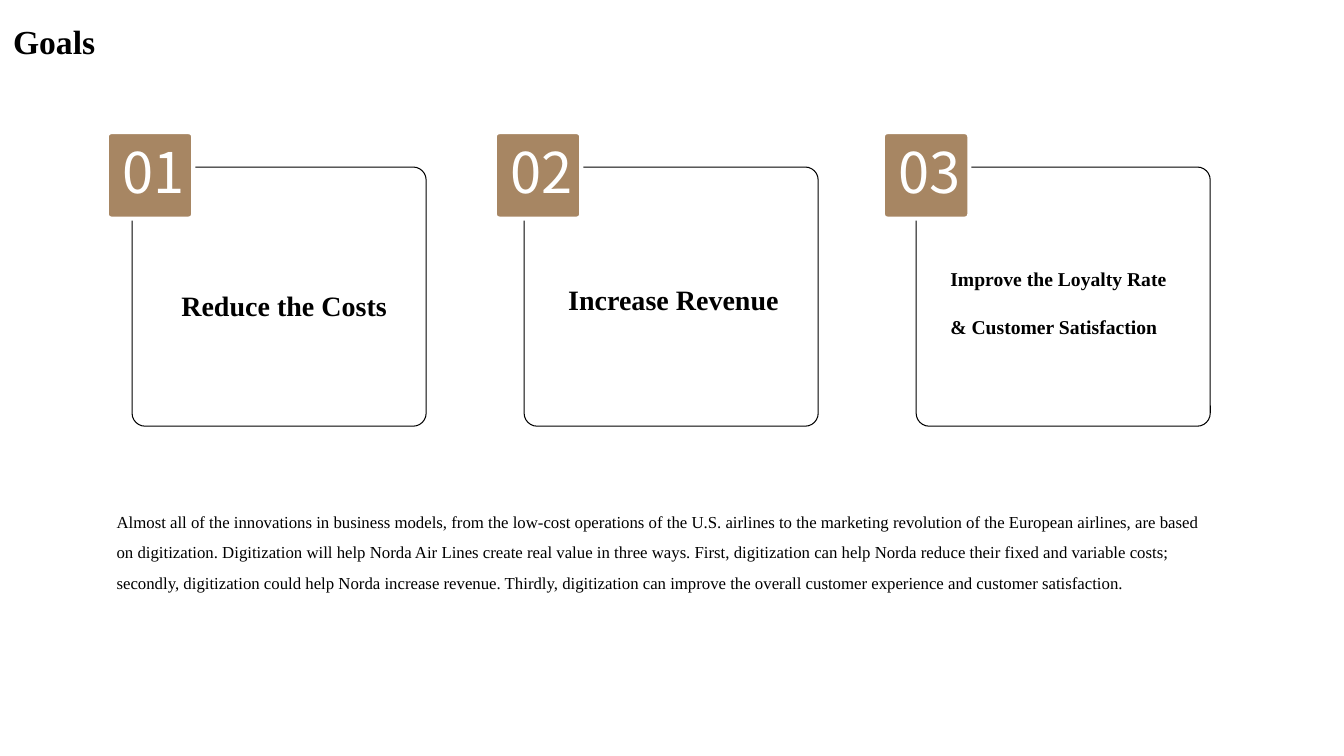
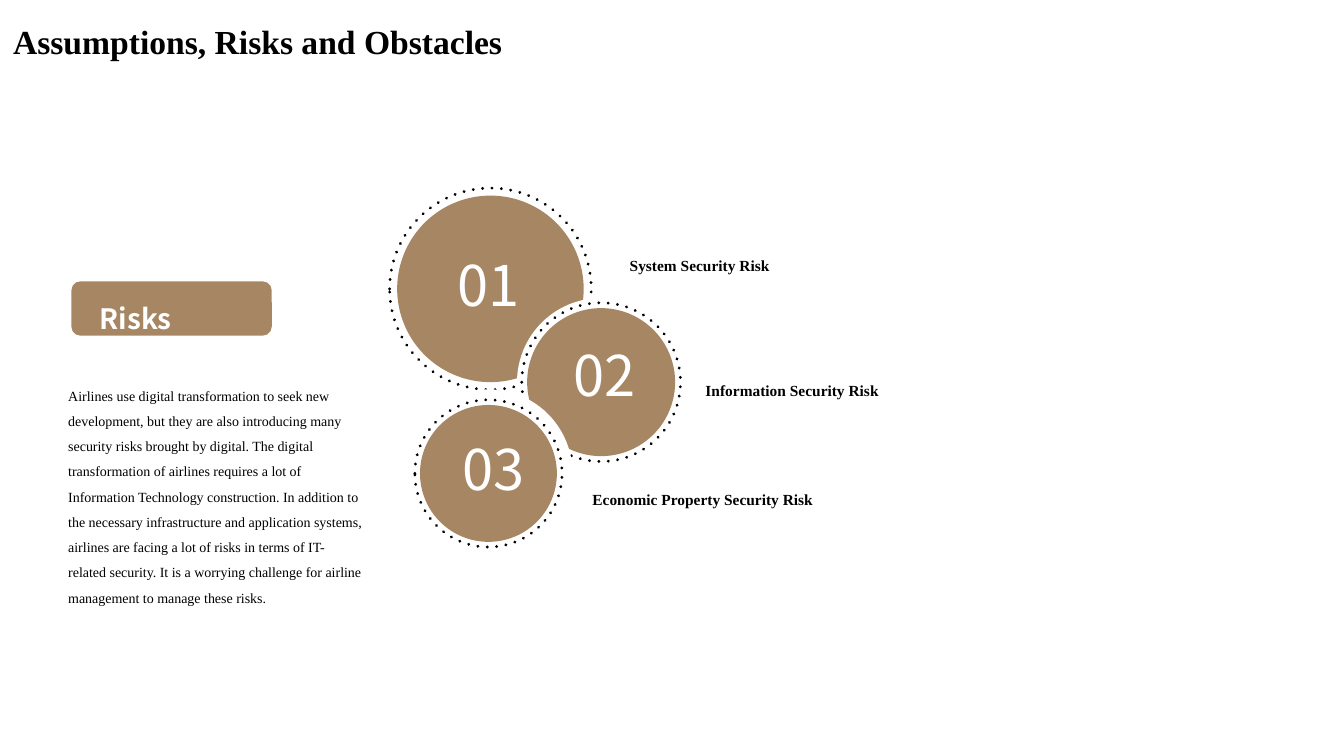
from lxml import etree
from pptx import Presentation
from pptx import util as u
from pptx.dml.color import RGBColor
from pptx.enum import shapes, text
from pptx.oxml.ns import qn

# Shared style
TAN, BLACK, WHITE = "A78663", "000000", "FFFFFF"
SERIF, SANS = "Times New Roman", "Noto Sans CJK SC"
ROUNDED = shapes.MSO_SHAPE.ROUNDED_RECTANGLE
OVAL = shapes.MSO_SHAPE.OVAL
NUMBER_WIDTH, NUMBER_HEIGHT = 2.18, 1.96


def color(value):
    return RGBColor.from_string(value)


def add_shape(slide, kind, left, top, width, height, fill=None, line=None, weight=0.75):
    shape = slide.shapes.add_shape(kind, u.Cm(left), u.Cm(top), u.Cm(width), u.Cm(height))
    shape.shadow.inherit = False
    if fill:
        shape.fill.solid()
        shape.fill.fore_color.rgb = color(fill)
    else:
        shape.fill.background()
    if line:
        shape.line.color.rgb = color(line)
        shape.line.width = u.Pt(weight)
    else:
        shape.line.fill.background()
    return shape


def add_text(slide, content, left, top, width, height, size, font=SERIF,
             ink=BLACK, bold=False, spacing=1.0, grow=True):
    box = slide.shapes.add_textbox(u.Cm(left), u.Cm(top), u.Cm(width), u.Cm(height))
    frame = box.text_frame
    frame.word_wrap = True
    if grow:
        frame.auto_size = text.MSO_AUTO_SIZE.SHAPE_TO_FIT_TEXT
    paragraph = frame.paragraphs[0]
    paragraph.text = content
    paragraph.line_spacing = spacing
    paragraph.font.name = font
    paragraph.font.size = u.Pt(size)
    paragraph.font.bold = bold
    paragraph.font.color.rgb = color(ink)
    return box


def add_title(slide, content, width):
    frame = add_text(slide, content, 0, 0.05, width, 2.08, 24, bold=True,
                     spacing=0.9, grow=False).text_frame
    frame.vertical_anchor = text.MSO_ANCHOR.MIDDLE
    frame.margin_left = frame.margin_right = u.Cm(0.33)
    frame.margin_top = frame.margin_bottom = u.Cm(0.18)


def add_number(slide, number, left, top):
    add_text(slide, f"{number:02d}", left, top, NUMBER_WIDTH, NUMBER_HEIGHT, 40, SANS, WHITE)


def add_card(slide, left, top):
    card = add_shape(slide, ROUNDED, left, top, 7.41, 6.53, line=BLACK)
    card.adjustments[0] = 0.05


def add_badge(slide, number, left, top):
    badge = add_shape(slide, ROUNDED, left, top, 2.18, 2.18, TAN, WHITE, 3)
    badge.adjustments[0] = 0.05
    add_number(slide, number, left + 0.15, top)


def add_circle(slide, center, diameter, **style):
    x, y = center
    return add_shape(slide, OVAL, x - diameter / 2, y - diameter / 2, diameter, diameter, **style)


def add_dotted_ring(slide, center, diameter):
    ring = add_circle(slide, center, diameter, line=BLACK, weight=2.25)
    line = ring.line._get_or_add_ln()
    line.set("cap", "rnd")
    dashes = etree.SubElement(line, qn("a:custDash"))
    etree.SubElement(dashes, qn("a:ds"), d="100000", sp="200000")


def build_goals(slide):
    # Cards, with numbered badges over their corners
    captions = [
        ("Reduce the Costs", 4.32, 6.3, 1.7, 20),
        ("Increase Revenue", 14.07, 6.15, 1.7, 20),
        ("Improve the Loyalty Rate & Customer Satisfaction", 23.7, 6.02, 2.46, 14),
    ]
    for index, (caption, left, top, height, size) in enumerate(captions):
        add_card(slide, 3.33 + 9.88 * index, 4.21)
        add_badge(slide, index + 1, 2.69 + 9.78 * index, 3.33)
        add_text(slide, caption, left, top, 6.2, height, size, bold=True, spacing=2.0)

    # Summary
    add_text(
        slide,
        "Almost all of the innovations in business models, from the low-cost operations of "
        "the U.S. airlines to the marketing revolution of the European airlines, are based on "
        "digitization. Digitization will help Norda Air Lines create real value in three ways. "
        "First, digitization can help Norda reduce their fixed and variable costs; secondly, "
        "digitization could help Norda increase revenue. Thirdly, digitization can improve the "
        "overall customer experience and customer satisfaction.",
        2.69, 12.52, 28.27, 2.46, 12, spacing=1.5)
    add_title(slide, "Goals", 11.25)


def build_risks(slide):
    # Overlapping circles: center, then halo, disc and ring diameters
    circles = [
        ((12.36, 7.28), None, 4.7, 5.08),
        ((15.15, 9.63), 4.24, 3.73, 4.0),
        ((12.31, 11.93), 4.24, 3.45, 3.71),
    ]
    for center, halo, disc, ring in circles:
        if halo:
            add_circle(slide, center, halo, fill=WHITE)
        add_circle(slide, center, disc, fill=TAN)
        add_dotted_ring(slide, center, ring)

    # Numbers and labels: number position, label position, height and spacing
    labels = [
        ("System Security Risk", (11.28, 6.2), (15.62, 5.87), 1.07, 2.0),
        ("Information Security Risk", (14.2, 8.46), (17.53, 9.02), 1.07, 2.0),
        ("Economic Property Security Risk", (11.4, 10.82), (14.68, 12.22), 0.74, 1.0),
    ]
    for number, (label, number_at, label_at, height, spacing) in enumerate(labels, 1):
        add_number(slide, number, *number_at)
        add_text(slide, label, *label_at, 15.27, height, 11, bold=True, spacing=spacing)

    # Heading and explanation
    add_shape(slide, ROUNDED, 1.8, 7.09, 5.05, 1.37, TAN)
    heading = add_text(slide, "Risks", 2.26, 6.63, 4.17, 1.7, 20, SANS, WHITE, True, 2.0)
    heading.text_frame.paragraphs[0].alignment = text.PP_ALIGN.JUSTIFY
    add_text(
        slide,
        "Airlines use digital transformation to seek new development, but they are also "
        "introducing many security risks brought by digital. The digital transformation of "
        "airlines requires a lot of Information Technology construction. In addition to the "
        "necessary infrastructure and application systems, airlines are facing a lot of risks "
        "in terms of IT-related security. It is a worrying challenge for airline management to "
        "manage these risks.",
        1.47, 9.42, 7.9, 5.94, 10, spacing=1.5)
    add_title(slide, "Assumptions, Risks and Obstacles", 13.44)


def main():
    presentation = Presentation()
    presentation.slide_width = u.Cm(33.87)
    presentation.slide_height = u.Cm(19.05)
    blank = presentation.slide_layouts[6]
    for build in (build_goals, build_risks):
        build(presentation.slides.add_slide(blank))
    presentation.save("out.pptx")


if __name__ == "__main__":
    main()
